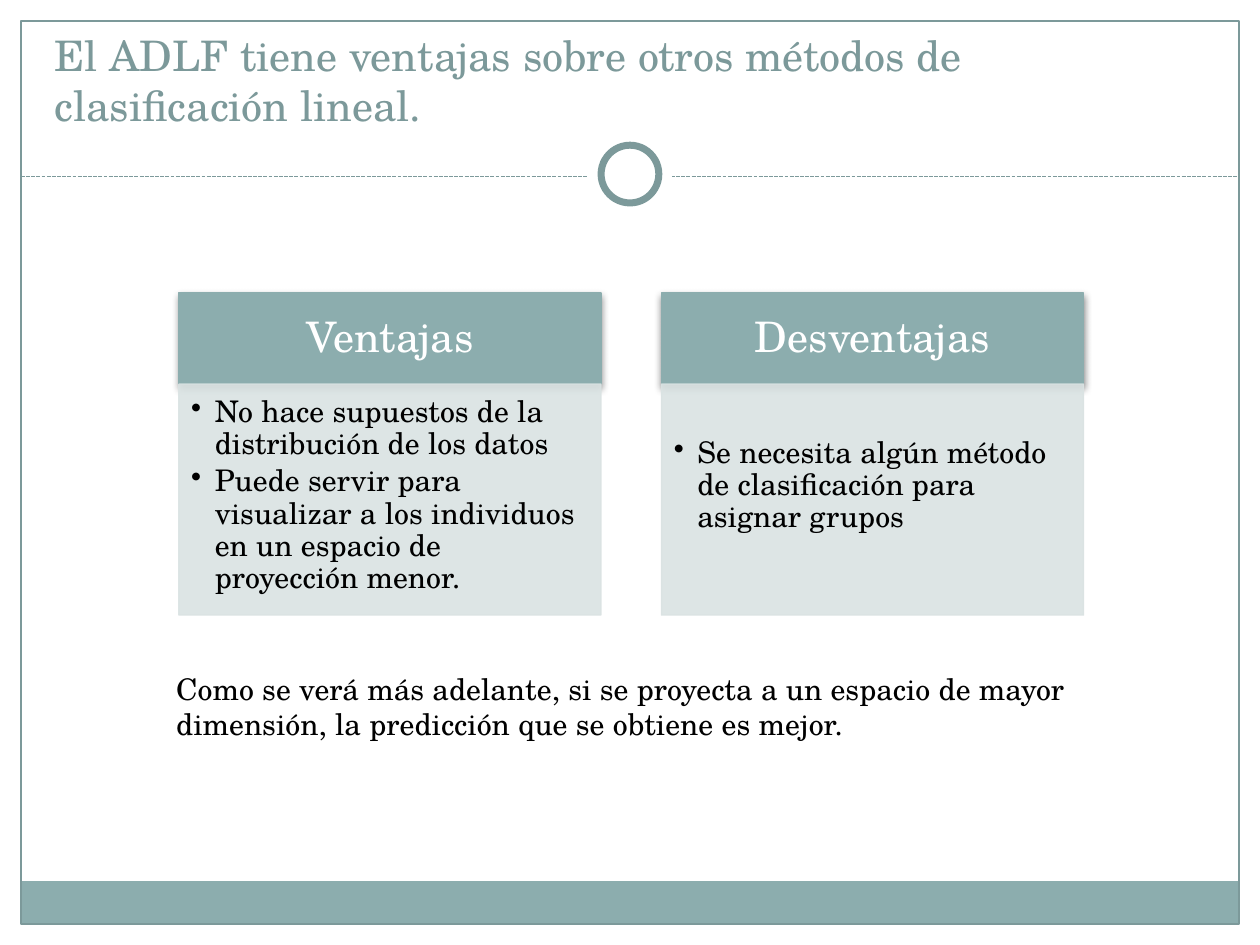
from lxml import etree
from pptx import Presentation
from pptx.dml.color import RGBColor
from pptx.enum import dml, shapes, text
from pptx.oxml import ns
from pptx.util import Pt

FONT = "TeX Gyre Schola"
TEAL, DARK, PALE = "8CADAE", "7C999A", "DAE3E3"
WHITE, BLACK = "FFFFFF", "000000"
KIND = shapes.MSO_SHAPE
WIDE, TALL = 720, 540


def tint(form, code):
    form.rgb = RGBColor.from_string(code)


def node(base, tag, **attrs):
    return etree.SubElement(base, ns.qn(tag), attrs)


def shape(slide, kind, box, fill=None, line=None, width=0.75):
    item = slide.shapes.add_shape(kind, *map(Pt, box))
    item.shadow.inherit = False
    if fill:
        item.fill.solid()
        tint(item.fill.fore_color, fill)
    else:
        item.fill.background()
    if line:
        tint(item.line.color, line)
        item.line.width = Pt(width)
    else:
        item.line.fill.background()
    return item


def setup(item, anchor, pads=(7.2, 3.6, 7.2, 3.6)):
    frame = item.text_frame
    frame.word_wrap = True
    frame.vertical_anchor = anchor
    (frame.margin_left, frame.margin_top,
     frame.margin_right, frame.margin_bottom) = map(Pt, pads)
    return frame


def write(para, words, size, color, align=text.PP_ALIGN.LEFT, space=1):
    para.alignment = align
    para.line_spacing = space
    run = para.add_run()
    run.text = words
    run.font.name = FONT
    run.font.size = Pt(size)
    tint(run.font.color, color)


def bullet(para):
    props = para._p.get_or_add_pPr()
    props.set("marL", str(Pt(13.5)))
    props.set("indent", str(-Pt(13.5)))
    node(props, "a:buChar", char="•")


def shade(item):
    effects = item._element.spPr.find(ns.qn("a:effectLst"))
    drop = node(effects, "a:outerShdw", blurRad=str(Pt(4)), dist=str(Pt(2)),
                dir="5400000", rotWithShape="0")
    color = node(drop, "a:srgbClr", val=BLACK)
    node(color, "a:alpha", val="45000")


def fade(item):
    for color in item._element.spPr.iter(ns.qn("a:srgbClr")):
        node(color, "a:alpha", val="90000")


def label(slide, box, words, size, color, anchor):
    item = slide.shapes.add_textbox(*map(Pt, box))
    write(setup(item, anchor).paragraphs[0], words, size, color)


def border(slide, box):
    x, y, w, h = box
    band = 24.5
    shape(slide, KIND.RECTANGLE, (x, y + h - band, w, band), TEAL)
    shape(slide, KIND.RECTANGLE, box, line=DARK)
    rule = y + 88.8
    dash = slide.shapes.add_connector(
        shapes.MSO_CONNECTOR.STRAIGHT, Pt(x), Pt(rule), Pt(x + w), Pt(rule))
    tint(dash.line.color, DARK)
    dash.line.width = Pt(0.75)
    dash.line.dash_style = dml.MSO_LINE.SQUARE_DOT
    node(dash._element.spPr, "a:effectLst")
    for size, line in ((48, None), (33, DARK)):
        spot = (x + (w - size) / 2, rule - 1.3 - size / 2, size, size)
        shape(slide, KIND.OVAL, spot, WHITE, line, 4)


def card(slide, box, head, points, top):
    x, y, w, h = box
    cap = 52
    title = shape(slide, KIND.RECTANGLE, (x, y, w, cap), TEAL, TEAL)
    shade(title)
    frame = setup(title, text.MSO_ANCHOR.MIDDLE, (13.7, 7.8, 13.7, 7.8))
    write(frame.paragraphs[0], head, 24, WHITE, text.PP_ALIGN.CENTER, 0.9)
    body = shape(slide, KIND.RECTANGLE, (x, y + cap, w, h - cap), PALE, PALE)
    fade(body)
    frame = setup(body, text.MSO_ANCHOR.TOP, (7.2, top, 9.6, 10.8))
    for i, point in enumerate(points):
        para = frame.add_paragraph() if i else frame.paragraphs[0]
        write(para, point, 17, BLACK, space=0.9)
        para.space_after = Pt(3)
        bullet(para)


def cards(slide, box):
    x, y, w, h = box
    gap = 34.5
    wide = (w - gap) / 2
    sides = (
        ("Ventajas",
         ("No hace supuestos de la distribución de los datos",
          "Puede servir para visualizar a los individuos en un espacio "
          "de proyección menor."), 7.2),
        ("Desventajas",
         ("Se necesita algún método de clasificación para asignar grupos",),
         30.6),
    )
    for i, side in enumerate(sides):
        card(slide, (x + i * (wide + gap), y, wide, h), *side)


def main():
    deck = Presentation()
    deck.slide_width, deck.slide_height = Pt(WIDE), Pt(TALL)
    slide = deck.slides.add_slide(deck.slide_layouts[6])
    border(slide, (12, 12, WIDE - 24, TALL - 24))
    label(slide, (24, 18, WIDE - 48, 60),
          "El ADLF tiene ventajas sobre otros métodos de clasificación lineal.",
          24, DARK, text.MSO_ANCHOR.BOTTOM)
    cards(slide, (102.2, 167.5, 517, 184))
    label(slide, (93.6, 379.5, 530, 48),
          "Como se verá más adelante, si se proyecta a un espacio de mayor "
          "dimensión, la predicción que se obtiene es mejor.",
          17, BLACK, text.MSO_ANCHOR.TOP)
    deck.save("out.pptx")


if __name__ == "__main__":
    main()
